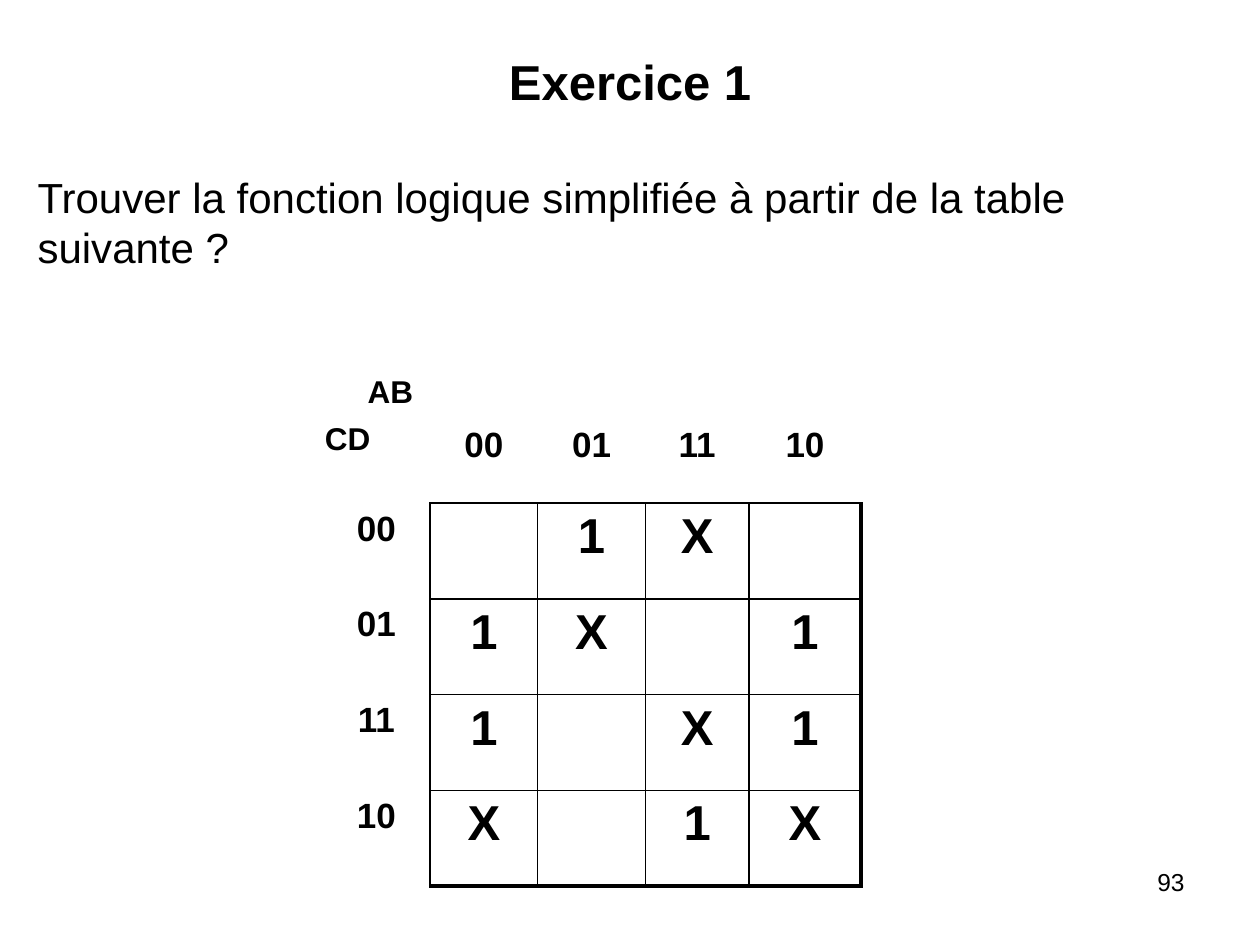
from lxml.etree import SubElement
from pptx import Presentation
from pptx.dml.color import RGBColor
from pptx.enum.text import MSO_ANCHOR as Anchor, PP_ALIGN as Align
from pptx.oxml.ns import qn
from pptx.util import Pt

BLACK = RGBColor(0, 0, 0)

TEXTS = [
    ("93", (516.24, 491.76, 167.76, 37.44), 14, False, Align.RIGHT, Anchor.TOP),
    ("Exercice 1", (36, 21.6, 648, 49.68), 28, True, Align.CENTER, Anchor.MIDDLE),
    ("Trouver la fonction logique simplifiée à partir de la table suivante ?",
     (14.4, 94.32, 686.16, 64.8), 24, False, Align.LEFT, Anchor.TOP),
    ("AB", (203.04, 208.8, 61.2, 28.8), 18, True, Align.LEFT, Anchor.TOP),
    ("CD", (178.56, 236.16, 51.12, 28.8), 18, True, Align.LEFT, Anchor.TOP),
]
KARNAUGH = [
    ["", "00", "01", "11", "10"],
    ["00", "", "1", "X", ""],
    ["01", "1", "X", "", "1"],
    ["11", "1", "", "X", "1"],
    ["10", "X", "", "1", "X"],
]
TABLE_LEFT, TABLE_TOP = 184.32, 213.12
COLUMN_WIDTHS = [61.5, 61.5, 61.5, 59.25, 64]
ROW_HEIGHTS = [74.4] + [54.72] * 4
LAST = len(KARNAUGH) - 1
THIN, THICK = 1, 2.25


def write(frame, text, size, bold, align):
    paragraph = frame.paragraphs[0]
    paragraph.alignment = align
    run = paragraph.add_run()
    run.text = text
    run.font.color.rgb = BLACK
    for name, value in {"name": "Arial", "size": Pt(size), "bold": bold}.items():
        setattr(run.font, name, value)


def add_text(slide, text, box, size, bold, align, anchor):
    frame = slide.shapes.add_textbox(*map(Pt, box)).text_frame
    frame.word_wrap = True
    frame.vertical_anchor = anchor
    write(frame, text, size, bold, align)


def edge_widths(row, column):
    inside = row > 0 and column > 0
    return {
        "a:lnL": THIN if inside else 0,
        "a:lnR": (THICK if column == LAST else THIN) if row else 0,
        "a:lnT": THIN if inside else 0,
        "a:lnB": (THICK if row == LAST else THIN) if column else 0,
    }


def set_borders(cell, widths):
    properties = cell._tc.get_or_add_tcPr()
    for position, (tag, width) in enumerate(widths.items()):
        line = SubElement(properties, qn(tag))
        properties.insert(position, line)
        if width:
            line.set("w", str(Pt(width)))
            fill = SubElement(line, qn("a:solidFill"))
            SubElement(fill, qn("a:srgbClr")).set("val", str(BLACK))
        else:
            SubElement(line, qn("a:noFill"))


def add_karnaugh(slide):
    size = len(KARNAUGH)
    bounds = (TABLE_LEFT, TABLE_TOP, sum(COLUMN_WIDTHS), sum(ROW_HEIGHTS))
    table = slide.shapes.add_table(size, size, *map(Pt, bounds)).table
    table.first_row = table.horz_banding = False
    for column, width in zip(table.columns, COLUMN_WIDTHS):
        column.width = Pt(width)
    for row, height in zip(table.rows, ROW_HEIGHTS):
        row.height = Pt(height)
    for i, values in enumerate(KARNAUGH):
        for j, value in enumerate(values):
            cell = table.cell(i, j)
            cell.fill.background()
            set_borders(cell, edge_widths(i, j))
            if i == 0:
                cell.margin_top = Pt(30)
            if value:
                write(cell.text_frame, value, 28 if i and j else 20, True, Align.CENTER)


def main():
    presentation = Presentation()
    presentation.slide_width, presentation.slide_height = Pt(720), Pt(540)
    slide = presentation.slides.add_slide(presentation.slide_layouts[6])
    add_karnaugh(slide)
    for entry in TEXTS:
        add_text(slide, *entry)
    presentation.save("out.pptx")


if __name__ == "__main__":
    main()
